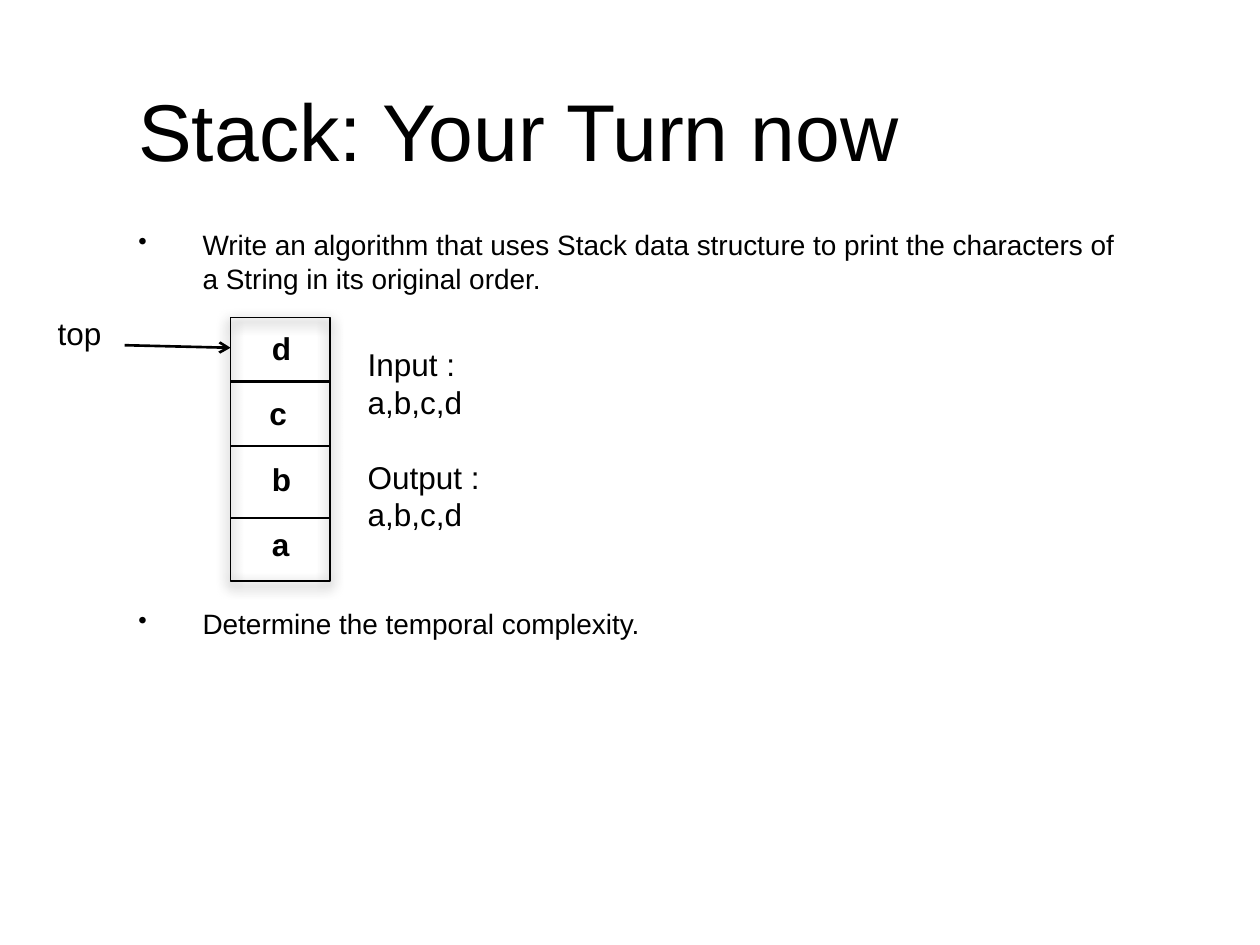
from lxml import etree
from pptx import Presentation
from pptx.dml.color import RGBColor
from pptx.enum.shapes import MSO_CONNECTOR, MSO_SHAPE
from pptx.enum.text import MSO_ANCHOR
from pptx.oxml.ns import qn
from pptx.util import Inches, Pt

RECTANGLE = MSO_SHAPE.RECTANGLE
STRAIGHT = MSO_CONNECTOR.STRAIGHT
TOP, MIDDLE = MSO_ANCHOR.TOP, MSO_ANCHOR.MIDDLE
COLORS = {"ink": "000000", "paper": "FFFFFF"}
FONT = "Arial"


def rgb(name):
    return RGBColor.from_string(COLORS[name])


def add_bullet(paragraph, indent):
    properties = paragraph._p.get_or_add_pPr()
    properties.set("marL", str(Inches(indent)))
    properties.set("indent", str(-Inches(indent)))
    etree.SubElement(properties, qn("a:buSzPct"), val="90000")
    etree.SubElement(properties, qn("a:buChar"), char="•")


def add_text(slide, box, lines, size=18, bold=False, anchor=TOP, wrap=True,
             bullet_indent=None, space_before=None):
    """Write one paragraph per line; space_before maps line index to points."""
    shape = slide.shapes.add_textbox(*map(Inches, box))
    frame = shape.text_frame
    frame.word_wrap = wrap
    frame.vertical_anchor = anchor
    for index, line in enumerate(lines):
        paragraph = frame.paragraphs[0] if index == 0 else frame.add_paragraph()
        if space_before and index in space_before:
            paragraph.space_before = Pt(space_before[index])
        if bullet_indent:
            add_bullet(paragraph, bullet_indent)
        run = paragraph.add_run()
        run.text = line
        run.font.name = FONT
        run.font.size = Pt(size)
        run.font.bold = bold
        run.font.color.rgb = rgb("ink")


def add_line(slide, start, end, arrow=False):
    line = slide.shapes.add_connector(STRAIGHT, *map(Inches, (*start, *end)))
    line.line.color.rgb = rgb("ink")
    line.line.width = Pt(1.5)
    if arrow:
        etree.SubElement(line.line._get_or_add_ln(), qn("a:tailEnd"), type="arrow")
    etree.SubElement(line._element.spPr, qn("a:effectLst"))


def add_outer_shadow(shape):
    shape.shadow.inherit = False
    effects = shape._element.spPr.find(qn("a:effectLst"))
    shadow = etree.SubElement(effects, qn("a:outerShdw"), blurRad=str(Pt(8)),
                              dist=str(Pt(3)), dir="5400000", rotWithShape="0")
    color = etree.SubElement(shadow, qn("a:srgbClr"), val=COLORS["ink"])
    etree.SubElement(color, qn("a:alpha"), val="75000")


def add_stack(slide, box):
    left, top, width, height = box
    frame = slide.shapes.add_shape(RECTANGLE, *map(Inches, box))
    frame.fill.background()
    frame.line.color.rgb = rgb("ink")
    frame.line.width = Pt(1)
    add_outer_shadow(frame)
    for offset in (0.51, 1.02, 1.59):
        add_line(slide, (left, top + offset), (left + width, top + offset))
    label_offsets = {"d": 0.23, "c": 0.21, "b": 0.23, "a": 0.23}
    for row, (label, offset) in enumerate(label_offsets.items()):
        label_box = (left + offset, top + 0.04 + 0.52 * row, 0.37, 0.4)
        add_text(slide, label_box, [label], bold=True)


def add_top_pointer(slide, box):
    left, top, width, height = box
    add_text(slide, (left, top, 0.62, height), ["top"], wrap=False)
    add_line(slide, (left + 0.63, top + 0.3), (left + width, top + 0.32), arrow=True)


def add_example(slide, box):
    add_text(slide, box, ["Input :", "a,b,c,d", "Output :", "a,b,c,d"],
             wrap=False, space_before={2: 21})


def add_tasks(slide, box):
    tasks = [
        "Write an algorithm that uses Stack data structure to print the "
        "characters of a String in its original order.",
        "Determine the temporal complexity.",
    ]
    add_text(slide, box, tasks, size=16, bullet_indent=0.51, space_before={1: 178})


def main():
    presentation = Presentation()
    presentation.slide_width = Inches(10)
    presentation.slide_height = Inches(7.5)
    slide = presentation.slides.add_slide(presentation.slide_layouts[6])
    slide.background.fill.solid()
    slide.background.fill.fore_color.rgb = rgb("paper")
    add_text(slide, (1, 0.55, 8, 0.95), ["Stack: Your Turn now"], size=46, anchor=MIDDLE)
    add_tasks(slide, (1, 1.76, 8, 4.44))
    add_stack(slide, (1.83, 2.52, 0.79, 2.09))
    add_top_pointer(slide, (0.36, 2.44, 1.47, 0.4))
    add_example(slide, (2.82, 2.69, 1.21, 1.62))
    presentation.save("out.pptx")


if __name__ == "__main__":
    main()
